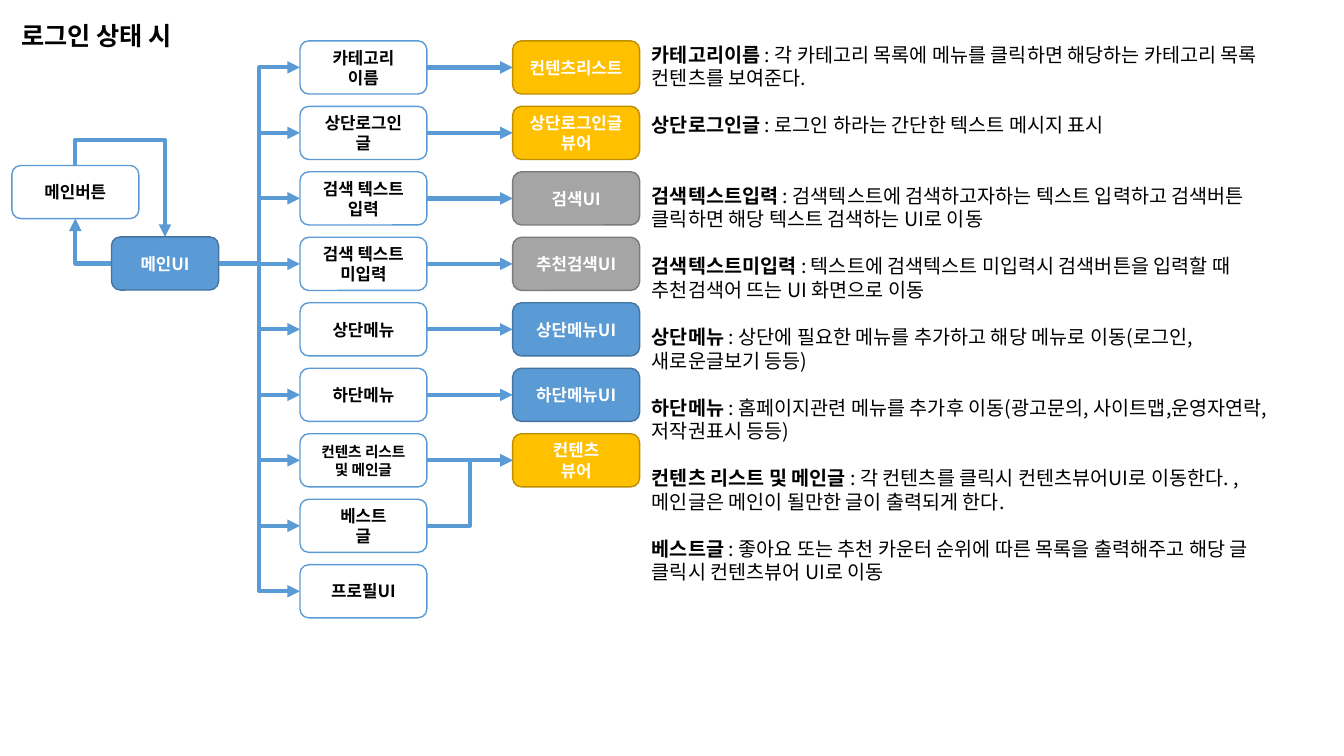
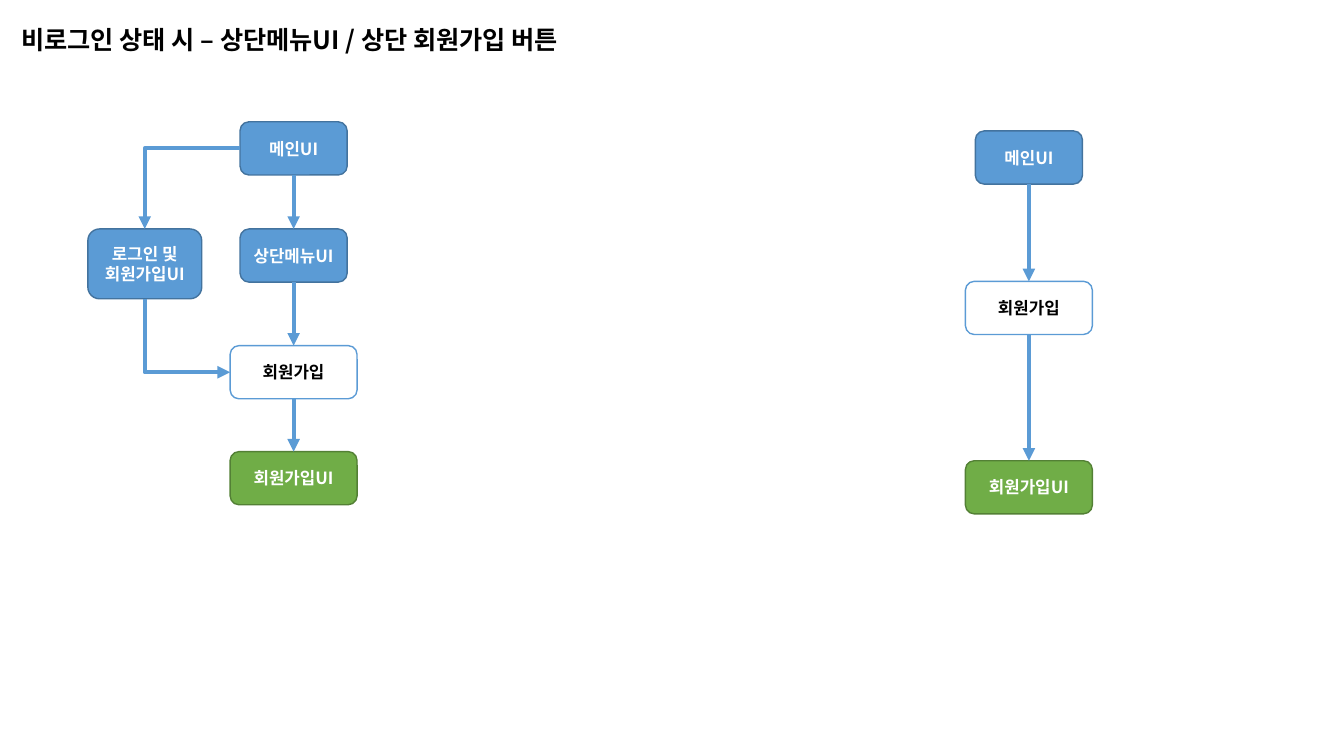
from lxml import etree
from pptx import Presentation
from pptx.dml.color import RGBColor
from pptx.enum.shapes import MSO_CONNECTOR, MSO_SHAPE
from pptx.enum.text import MSO_ANCHOR, MSO_AUTO_SIZE, PP_ALIGN
from pptx.oxml.ns import qn
from pptx.util import Cm, Pt

STRAIGHT, ELBOW = MSO_CONNECTOR.STRAIGHT, MSO_CONNECTOR.ELBOW
ROUNDED = MSO_SHAPE.ROUNDED_RECTANGLE
TOP, MIDDLE = MSO_ANCHOR.TOP, MSO_ANCHOR.MIDDLE
LEFT, CENTER = PP_ALIGN.LEFT, PP_ALIGN.CENTER
NO_AUTOFIT = MSO_AUTO_SIZE.NONE
TOP_SIDE, LEFT_SIDE, BOTTOM_SIDE, RIGHT_SIDE = range(4)

FONT = "Noto Sans CJK KR"
LINE_RATIO = 1.2
WHITE = RGBColor(0xFF, 0xFF, 0xFF)
BLACK = RGBColor(0x00, 0x00, 0x00)
BLUE = RGBColor(0x5B, 0x9B, 0xD5)
DARK_BLUE = RGBColor(0x43, 0x73, 0x9E)
AMBER = RGBColor(0xFF, 0xC0, 0x00)
DARK_AMBER = RGBColor(0xBD, 0x8E, 0x00)
GRAY = RGBColor(0xA5, 0xA5, 0xA5)
DARK_GRAY = RGBColor(0x7A, 0x7A, 0x7A)
GREEN = RGBColor(0x70, 0xAD, 0x47)
DARK_GREEN = RGBColor(0x53, 0x80, 0x35)

# Box styles: fill, border, text
ACTION = (WHITE, BLUE, BLACK)
SCREEN = (BLUE, DARK_BLUE, WHITE)
CONTENT = (AMBER, DARK_AMBER, WHITE)
SEARCH = (GRAY, DARK_GRAY, WHITE)
SIGNUP = (GREEN, DARK_GREEN, WHITE)

# Box widths and height, in cm
NARROW, WIDE, BOX_HEIGHT = 2.7, 3.2, 1.34

LOGIN_TITLE = "로그인 상태 시"
SIGNUP_TITLE = "비로그인 상태 시 – 상단메뉴UI / 상단 회원가입 버튼"

# Action, text size, screen it opens, style of that screen
LOGIN_ROWS = [
    ("카테고리\n이름", 12, "컨텐츠리스트", CONTENT),
    ("상단로그인\n글", 12, "상단로그인글\n뷰어", CONTENT),
    ("검색 텍스트\n입력", 12, "검색UI", SEARCH),
    ("검색 텍스트\n미입력", 12, "추천검색UI", SEARCH),
    ("상단메뉴", 12, "상단메뉴UI", SCREEN),
    ("하단메뉴", 12, "하단메뉴UI", SCREEN),
    ("컨텐츠 리스트\n및 메인글", 10.5, "컨텐츠\n뷰어", CONTENT),
    ("베스트\n글", 12, None, None),
    ("프로필UI", 12, None, None),
]
VIEWER_ROW, BEST_ROW = 6, 7
ROWS_TOP, ROW_PITCH = 1.03, 1.65
ACTION_CENTER, TARGET_CENTER = 9.16, 14.52

# Term, explanation, blank lines above
NOTES = [
    ("카테고리이름", "각 카테고리 목록에 메뉴를 클릭하면 해당하는 카테고리 목록 컨텐츠를 보여준다.", 0),
    ("상단로그인글", "로그인 하라는 간단한 텍스트 메시지 표시", 1),
    ("검색텍스트입력", "검색텍스트에 검색하고자하는 텍스트 입력하고 검색버튼 클릭하면 "
     "해당 텍스트 검색하는 UI로 이동", 2),
    ("검색텍스트미입력", "텍스트에 검색텍스트 미입력시 검색버튼을 입력할 때 "
     "추천검색어 뜨는 UI 화면으로 이동", 1),
    ("상단메뉴", "상단에 필요한 메뉴를 추가하고 해당 메뉴로 이동(로그인,새로운글보기 등등)", 1),
    ("하단메뉴", "홈페이지관련 메뉴를 추가후 이동(광고문의, 사이트맵,운영자연락,저작권표시 등등)", 1),
    ("컨텐츠 리스트 및 메인글", "각 컨텐츠를 클릭시 컨텐츠뷰어UI로 이동한다. , "
     "메인글은 메인이 될만한 글이 출력되게 한다.", 1),
    ("베스트글", "좋아요 또는 추천 카운터 순위에 따른 목록을 출력해주고 "
     "해당 글 클릭시 컨텐츠뷰어 UI로 이동", 1),
]
NOTE_SIZE = 14

# Column centre, then text, top, width and style of each box
SIGNUP_FLOWS = [
    (7.4, [("메인UI", 3.07, NARROW, SCREEN), ("상단메뉴UI", 5.77, NARROW, SCREEN),
           ("회원가입", 8.71, WIDE, ACTION), ("회원가입UI", 11.38, WIDE, SIGNUP)]),
    (25.93, [("메인UI", 3.3, NARROW, SCREEN), ("회원가입", 7.09, WIDE, ACTION),
             ("회원가입UI", 11.61, WIDE, SIGNUP)]),
]


def set_all(target, values):
    for name, value in values.items():
        setattr(target, name, value)


def format_run(run, size, color, bold=True):
    set_all(run.font, {"name": FONT, "size": Pt(size), "bold": bold})
    run.font.color.rgb = color
    etree.SubElement(run._r.get_or_add_rPr(), qn("a:ea")).set("typeface", FONT)


def format_paragraph(paragraph, size, align):
    set_all(paragraph, {"alignment": align, "line_spacing": Pt(size * LINE_RATIO),
                        "space_before": Pt(0), "space_after": Pt(0)})


def write(frame, text, size, color, align, anchor):
    set_all(frame, {"text": text, "word_wrap": True, "auto_size": NO_AUTOFIT,
                    "vertical_anchor": anchor})
    for paragraph in frame.paragraphs:
        format_paragraph(paragraph, size, align)
        for run in paragraph.runs:
            format_run(run, size, color)


def add_titled_slide(prs, text, top, width):
    slide = prs.slides.add_slide(prs.slide_layouts.get_by_name("Title Only"))
    title = slide.shapes.title
    set_all(title, {"left": Cm(0.28), "top": Cm(top),
                    "width": Cm(width), "height": Cm(1.02)})
    write(title.text_frame, text, 18, BLACK, LEFT, TOP)
    return slide


def add_box(slide, text, center, top, width, style, size=12, height=BOX_HEIGHT):
    fill, border, ink = style
    box = slide.shapes.add_shape(ROUNDED, Cm(center - width / 2), Cm(top),
                                 Cm(width), Cm(height))
    box.shadow.inherit = False
    box.fill.solid()
    box.fill.fore_color.rgb = fill
    box.line.color.rgb = border
    box.line.width = Pt(1)
    write(box.text_frame, text, size, ink, CENTER, MIDDLE)
    return box


def add_arrow(slide, start, start_side, end, end_side, kind=STRAIGHT):
    arrow = slide.shapes.add_connector(kind, 0, 0, 0, 0)
    arrow.begin_connect(start, start_side)
    arrow.end_connect(end, end_side)
    arrow.line.color.rgb = BLUE
    arrow.line.width = Pt(3)
    properties = arrow._element.spPr
    etree.SubElement(properties.find(qn("a:ln")), qn("a:tailEnd")).set("type", "triangle")
    etree.SubElement(properties, qn("a:effectLst"))
    return arrow


def make_single_bend(arrow):
    arrow._element.spPr.find(qn("a:prstGeom")).set("prst", "bentConnector2")


def leave_downward(arrow):
    """Turn an elbow that runs down and right so that its first leg is vertical."""
    left, top, width, height = arrow.left, arrow.top, arrow.width, arrow.height
    shift = (width - height) // 2
    set_all(arrow, {"left": left + shift, "top": top - shift,
                    "width": height, "height": width})
    frame = arrow._element.spPr.find(qn("a:xfrm"))
    frame.set("rot", "16200000")
    frame.set("flipH", "1")


def set_bend(arrow, share):
    adjustments = arrow._element.spPr.find(qn("a:prstGeom")).find(qn("a:avLst"))
    guide = etree.SubElement(adjustments, qn("a:gd"))
    guide.set("name", "adj1")
    guide.set("fmla", f"val {round(share * 100000)}")


def add_notes_text(slide):
    frame = slide.shapes.add_textbox(Cm(16.18), Cm(0.95), Cm(16.81), Cm(16.4)).text_frame
    frame.word_wrap = True
    for index, (term, explanation, blank_lines) in enumerate(NOTES):
        paragraph = frame.add_paragraph() if index else frame.paragraphs[0]
        format_paragraph(paragraph, NOTE_SIZE, LEFT)
        paragraph.space_before = Pt(blank_lines * NOTE_SIZE * LINE_RATIO)
        for text, bold in ((f"{term} ", True), (f": {explanation}", False)):
            run = paragraph.add_run()
            run.text = text
            format_run(run, NOTE_SIZE, BLACK, bold)


def build_login_slide(prs):
    slide = add_titled_slide(prs, LOGIN_TITLE, 0.38, 6.27)
    main_screen = add_box(slide, "메인UI", 4.16, 5.97, NARROW, SCREEN)
    main_button = add_box(slide, "메인버튼", 1.9, 4.17, WIDE, ACTION)
    actions, targets = [], []
    for row, (action, size, target, style) in enumerate(LOGIN_ROWS):
        top = ROWS_TOP + row * ROW_PITCH
        actions.append(add_box(slide, action, ACTION_CENTER, top, WIDE, ACTION, size))
        if target:
            targets.append(add_box(slide, target, TARGET_CENTER, top, WIDE, style))
    add_notes_text(slide)

    for action in actions:
        add_arrow(slide, main_screen, RIGHT_SIDE, action, LEFT_SIDE, ELBOW)
    for action, target in zip(actions, targets):
        add_arrow(slide, action, RIGHT_SIDE, target, LEFT_SIDE)
    add_arrow(slide, actions[BEST_ROW], RIGHT_SIDE, targets[VIEWER_ROW], LEFT_SIDE, ELBOW)
    make_single_bend(add_arrow(slide, main_screen, LEFT_SIDE,
                               main_button, BOTTOM_SIDE, ELBOW))
    loop = add_arrow(slide, main_button, TOP_SIDE, main_screen, TOP_SIDE, ELBOW)
    leave_downward(loop)
    set_bend(loop, -0.355)


def build_signup_slide(prs):
    slide = add_titled_slide(prs, SIGNUP_TITLE, 0.48, 19.48)
    flows = []
    for center, steps in SIGNUP_FLOWS:
        boxes = [add_box(slide, text, center, top, width, style)
                 for text, top, width, style in steps]
        for upper, lower in zip(boxes, boxes[1:]):
            add_arrow(slide, upper, BOTTOM_SIDE, lower, TOP_SIDE)
        flows.append(boxes)

    main_screen, _, signup, _ = flows[0]
    login = add_box(slide, "로그인 및 회원가입UI", 3.65, 5.77, 2.87, SCREEN, height=1.76)
    make_single_bend(add_arrow(slide, main_screen, LEFT_SIDE, login, TOP_SIDE, ELBOW))
    to_signup = add_arrow(slide, login, BOTTOM_SIDE, signup, LEFT_SIDE, ELBOW)
    make_single_bend(to_signup)
    leave_downward(to_signup)


def main():
    prs = Presentation()
    prs.slide_width, prs.slide_height = Cm(33.87), Cm(19.05)
    build_login_slide(prs)
    build_signup_slide(prs)
    prs.save("out.pptx")


if __name__ == "__main__":
    main()
